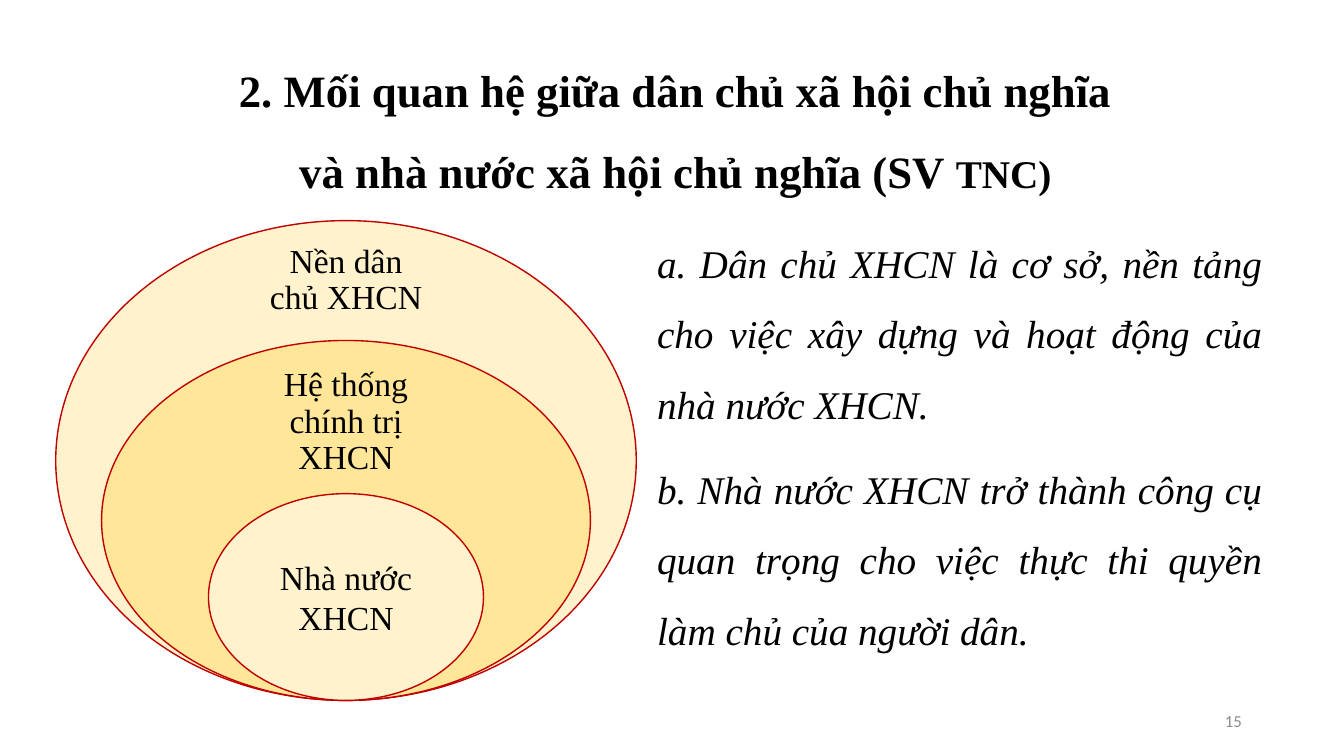
from dataclasses import dataclass

from pptx import Presentation
from pptx import util as u
from pptx.dml.color import RGBColor
from pptx.enum import shapes, text

SERIF = "Times New Roman"
BLACK = "000000"
RINGS_CENTER, RINGS_BOTTOM = 8.72, 17.65


@dataclass
class Ring:
    width: float
    height: float
    fill: str
    label: str
    label_middle: float
    label_width: float
    label_height: float
    line_spacing: float


RINGS = [
    Ring(14.63, 12.09, "FFF2CC", "Nền dân chủ XHCN", 7.07, 5.11, 1.8, 0.9),
    Ring(12.32, 9.07, "FFE699", "Hệ thống chính trị XHCN", 10.64, 5.74, 1.7, 0.9),
    Ring(6.93, 5.21, "FFF2CC", "Nhà nước XHCN", 15.05, 4.9, 2.62, 1.0),
]
POINTS = [
    "a. Dân chủ XHCN là cơ sở, nền tảng cho việc xây dựng và hoạt động của nhà nước XHCN.",
    "b. Nhà nước XHCN trở thành công cụ quan trọng cho việc thực thi quyền làm chủ của người dân.",
]


def color(value: str) -> RGBColor:
    return RGBColor.from_string(value)


def add_frame(slide, left: float, top: float, width: float, height: float,
              anchor=text.MSO_ANCHOR.MIDDLE):
    """Add a wrapping text box, in centimetres, and return its text frame."""
    frame = slide.shapes.add_textbox(u.Cm(left), u.Cm(top), u.Cm(width), u.Cm(height)).text_frame
    frame.word_wrap = True
    frame.vertical_anchor = anchor
    return frame


def style(paragraph, size: float, align, spacing: float = 1.0, font: str = SERIF,
          ink: str = BLACK) -> None:
    paragraph.alignment = align
    paragraph.line_spacing = spacing
    paragraph.font.name = font
    paragraph.font.size = u.Pt(size)
    paragraph.font.color.rgb = color(ink)


def add_title(slide) -> None:
    heading = add_frame(slide, 3.05, 0.79, 27.94, 4.45, text.MSO_ANCHOR.TOP).paragraphs[0]
    style(heading, 32, text.PP_ALIGN.CENTER, 1.5)
    heading.font.bold = True
    heading.add_run().text = "2. Mối quan hệ giữa dân chủ xã hội chủ nghĩa"
    heading.add_line_break()
    heading.add_run().text = "và nhà nước xã hội chủ nghĩa (SV "
    suffix = heading.add_run()
    suffix.text = "TNC)"
    suffix.font.size = u.Pt(28)


def add_ring(slide, ring: Ring) -> None:
    oval = slide.shapes.add_shape(
        shapes.MSO_SHAPE.OVAL, u.Cm(RINGS_CENTER - ring.width / 2),
        u.Cm(RINGS_BOTTOM - ring.height), u.Cm(ring.width), u.Cm(ring.height))
    oval.shadow.inherit = False
    oval.fill.solid()
    oval.fill.fore_color.rgb = color(ring.fill)
    oval.line.color.rgb = color("C00000")
    oval.line.width = u.Pt(1)

    frame = add_frame(slide, RINGS_CENTER - ring.label_width / 2,
                      ring.label_middle - ring.label_height / 2,
                      ring.label_width, ring.label_height)
    frame.margin_left = frame.margin_right = u.Cm(0.48)
    frame.margin_top = frame.margin_bottom = u.Cm(0.48)
    label = frame.paragraphs[0]
    label.text = ring.label
    style(label, 24, text.PP_ALIGN.CENTER, ring.line_spacing)


def add_points(slide) -> None:
    frame = add_frame(slide, 16.31, 5.31, 15.75, 11.89, text.MSO_ANCHOR.TOP)
    for index, sentence in enumerate(POINTS):
        point = frame.add_paragraph() if index else frame.paragraphs[0]
        point.text = sentence
        style(point, 28, text.PP_ALIGN.JUSTIFY, 1.5)
        point.font.italic = True
        if index:
            point.space_before = u.Pt(10)


def add_page_number(slide) -> None:
    number = add_frame(slide, 23.93, 17.65, 7.62, 1.02).paragraphs[0]
    number.text = "15"
    style(number, 12, text.PP_ALIGN.RIGHT, font="Calibri", ink="8C8C8C")


def main() -> None:
    deck = Presentation()
    deck.slide_width, deck.slide_height = u.Cm(33.87), u.Cm(19.05)
    slide = deck.slides.add_slide(deck.slide_layouts[6])
    add_title(slide)
    for ring in RINGS:
        add_ring(slide, ring)
    add_points(slide)
    add_page_number(slide)
    deck.save("out.pptx")


if __name__ == "__main__":
    main()
